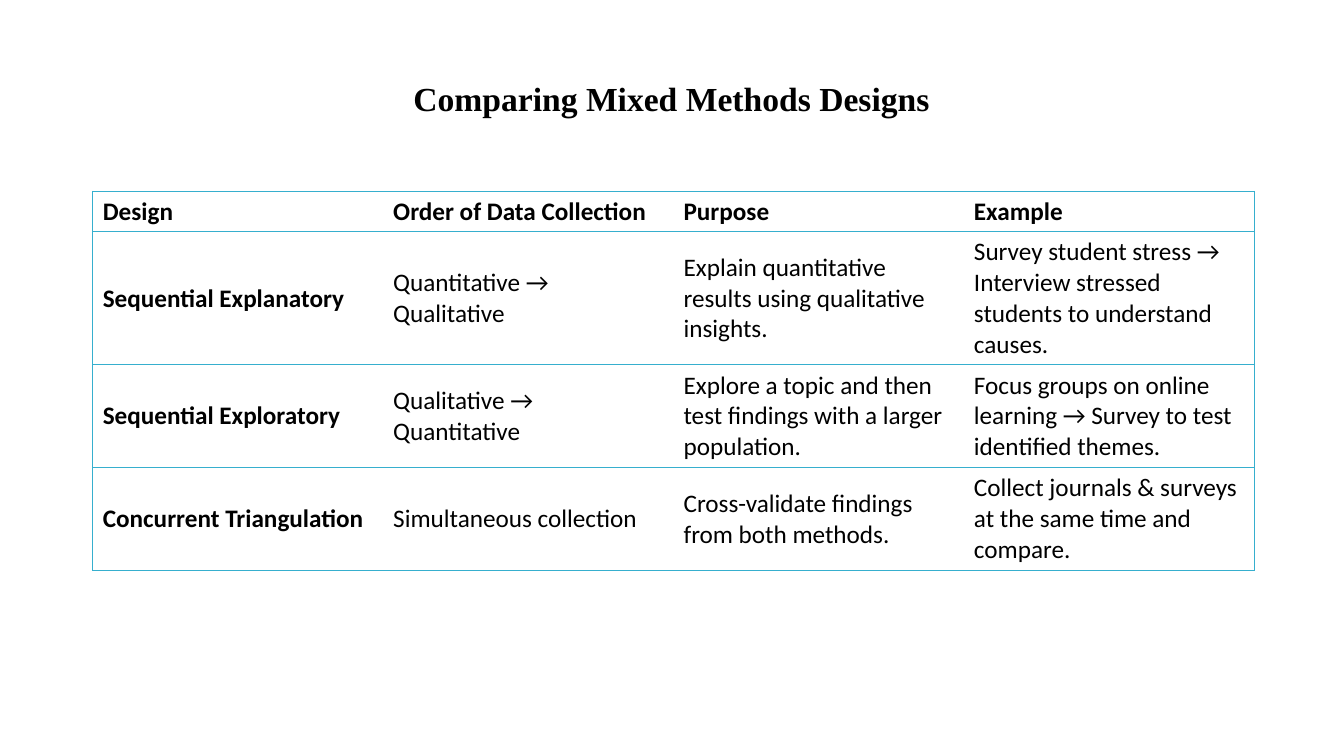
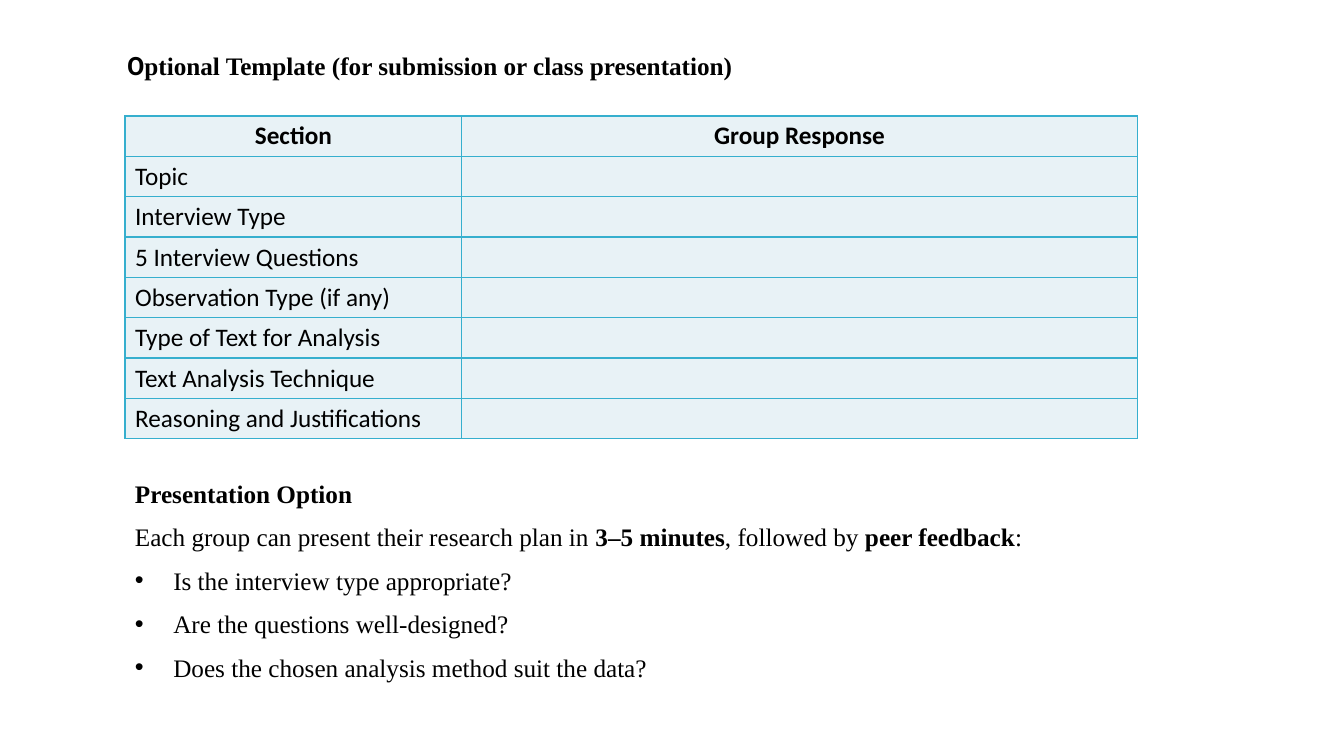
from pptx import Presentation
from pptx.dml.color import RGBColor
from pptx.enum.text import MSO_ANCHOR as Anchor, MSO_AUTO_SIZE as Fit, PP_ALIGN as Align
from pptx.oxml.ns import qn
from pptx.util import Inches, Pt
from lxml.etree import SubElement as Sub

BLACK, WHITE, TEAL, PALE = "000000", "FFFFFF", "36AFCE", "E8F2F6"
SERIF, SANS, LEAD = "Times New Roman", "Calibri", "Roboto"


def color(code):
    return RGBColor.from_string(code)


class Deck:
    def __init__(self):
        self.prs = Presentation()
        self.prs.slide_width = Inches(13.33)
        self.prs.slide_height = Inches(7.5)
        self.slide = None

    def label(self, par, text, face, size=18, bold=False):
        for i, part in enumerate(text.split("**")):
            if part:
                run = par.add_run()
                run.text = part
                if i % 2:
                    run.font.bold = True
        font = par.font
        font.name, font.size, font.bold = face, Pt(size), bold
        font.color.rgb = color(BLACK)

    def space(self, par):
        par.line_spacing = 1.07
        par.space_after = Pt(8)

    def bullet(self, par):
        props = par._p.get_or_add_pPr()
        props.set("marL", str(Inches(0.38)))
        props.set("indent", str(-Inches(0.38)))
        Sub(props, qn("a:buFont")).set("typeface", "Arial")
        Sub(props, qn("a:buChar")).set("char", "•")

    def title(self, text, box, size, align=Align.LEFT, lead=""):
        self.slide = self.prs.slides.add_slide(self.prs.slide_layouts[5])
        shape = self.slide.shapes.title
        shape.left, shape.top, shape.width, shape.height = map(Inches, box)
        frame = shape.text_frame
        frame.vertical_anchor, frame.auto_size = Anchor.TOP, Fit.SHAPE_TO_FIT_TEXT
        par = frame.paragraphs[0]
        par.alignment = align
        if lead:
            run = par.add_run()
            run.text, run.font.name = lead, LEAD
            self.space(par)
        self.label(par, text, SERIF, size, True)

    def notes(self, head, intro, items, box):
        frame = self.slide.shapes.add_textbox(*map(Inches, box)).text_frame
        frame.word_wrap, frame.auto_size = True, Fit.SHAPE_TO_FIT_TEXT
        for i, text in enumerate([head, intro, *items]):
            par = frame.add_paragraph() if i else frame.paragraphs[0]
            if i > 1:
                self.bullet(par)
            self.space(par)
            self.label(par, text, SERIF, bold=i == 0)

    def edge(self, cell, sides):
        props = cell._tc.get_or_add_tcPr()
        for side in "LRTB":
            line = Sub(props, qn(f"a:ln{side}"))
            if side in sides:
                line.set("w", str(Pt(1)))
                Sub(Sub(line, qn("a:solidFill")), qn("a:srgbClr")).set("val", TEAL)
            else:
                Sub(line, qn("a:noFill"))

    def table(self, rows, spot, widths, heights, fill, grid=True, align=Align.LEFT, stub=False):
        size = sum(widths), sum(heights)
        last = len(widths) - 1
        table = self.slide.shapes.add_table(
            len(rows), len(widths), *map(Inches, (*spot, *size))).table
        table.first_row = table.horz_banding = False
        for col, width in zip(table.columns, widths):
            col.width = Inches(width)
        for row, height in zip(table.rows, heights):
            row.height = Inches(height)
        for r, texts in enumerate(rows):
            for c, text in enumerate(texts):
                cell = table.cell(r, c)
                left = "L" if grid or c == 0 else ""
                right = "R" if grid or c == last else ""
                self.edge(cell, "TB" + left + right)
                cell.fill.solid()
                cell.fill.fore_color.rgb = color(fill)
                cell.vertical_anchor = Anchor.MIDDLE
                par = cell.text_frame.paragraphs[0]
                par.alignment = Align.LEFT if r else align
                self.label(par, text, SANS, bold=r == 0 or (stub and c == 0))


def main():
    deck = Deck()
    deck.title("Comparing Mixed Methods Designs", (3.33, 0.72, 6.66, 0.5), 24, Align.CENTER)
    designs = [
        ("Design", "Order of Data Collection", "Purpose", "Example"),
        ("Sequential Explanatory", "Quantitative → Qualitative",
         "Explain quantitative results using qualitative insights.",
         "Survey student stress → Interview stressed students to understand causes."),
        ("Sequential Exploratory", "Qualitative → Quantitative",
         "Explore a topic and then test findings with a larger population.",
         "Focus groups on online learning → Survey to test identified themes."),
        ("Concurrent Triangulation", "Simultaneous collection",
         "Cross-validate findings from both methods.",
         "Collect journals & surveys at the same time and compare."),
    ]
    deck.table(designs, (0.92, 1.9), [2.88] * 4, [0.4, 1.32, 1.02, 1.02], WHITE,
               grid=False, stub=True)

    deck.title("ptional Template (for submission or class presentation)",
               (1.16, 0.43, 10.85, 0.4), 18, lead="O")
    topics = ["Topic", "Interview Type", "5 Interview Questions", "Observation Type (if any)",
              "Type of Text for Analysis", "Text Analysis Technique",
              "Reasoning and Justifications"]
    rows = [("Section", "Group Response")] + [(topic, "") for topic in topics]
    deck.table(rows, (1.24, 1.15), [3.34, 6.7], [0.4] * len(rows), PALE, align=Align.CENTER)
    deck.notes(
        "Presentation Option",
        "Each group can present their research plan in **3–5 minutes**, "
        "followed by **peer feedback**:",
        ["Is the interview type appropriate?", "Are the questions well-designed?",
         "Does the chosen analysis method suit the data?"],
        (1.24, 4.67, 10.85, 2.15))
    deck.prs.save("out.pptx")


if __name__ == "__main__":
    main()
